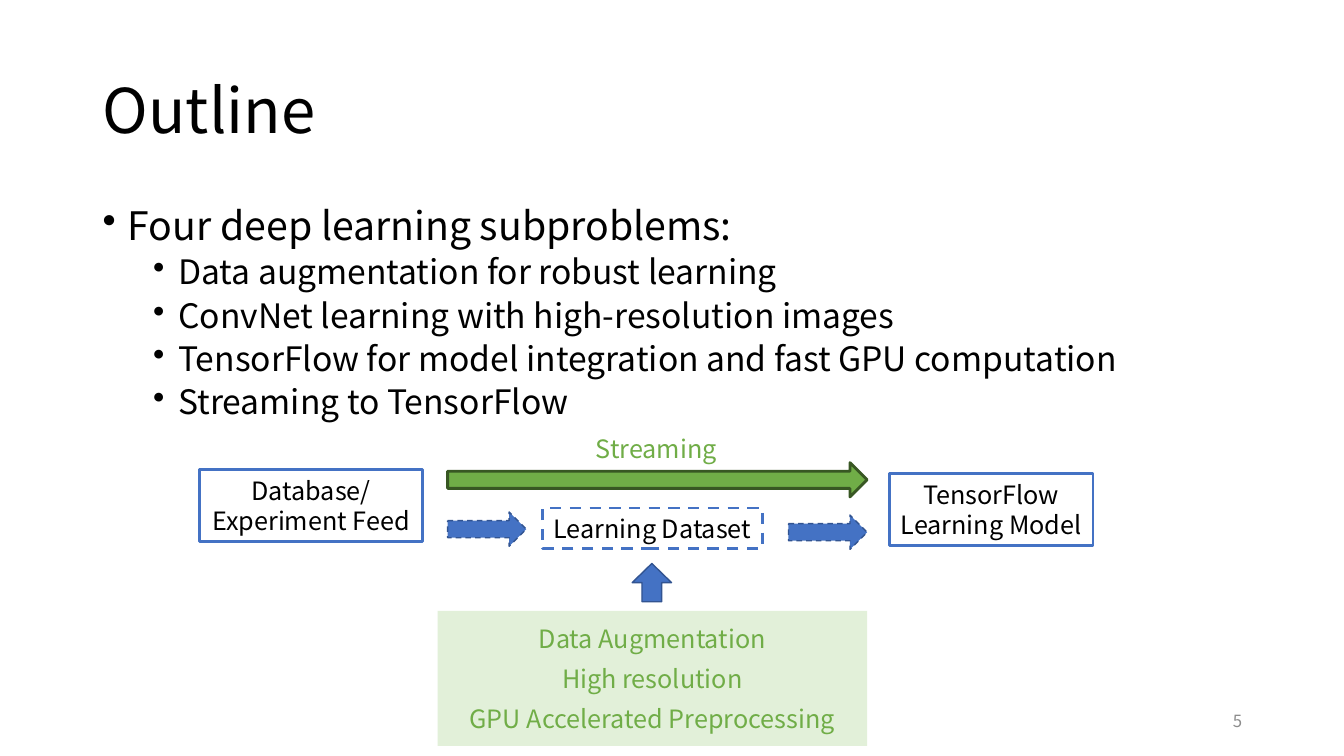
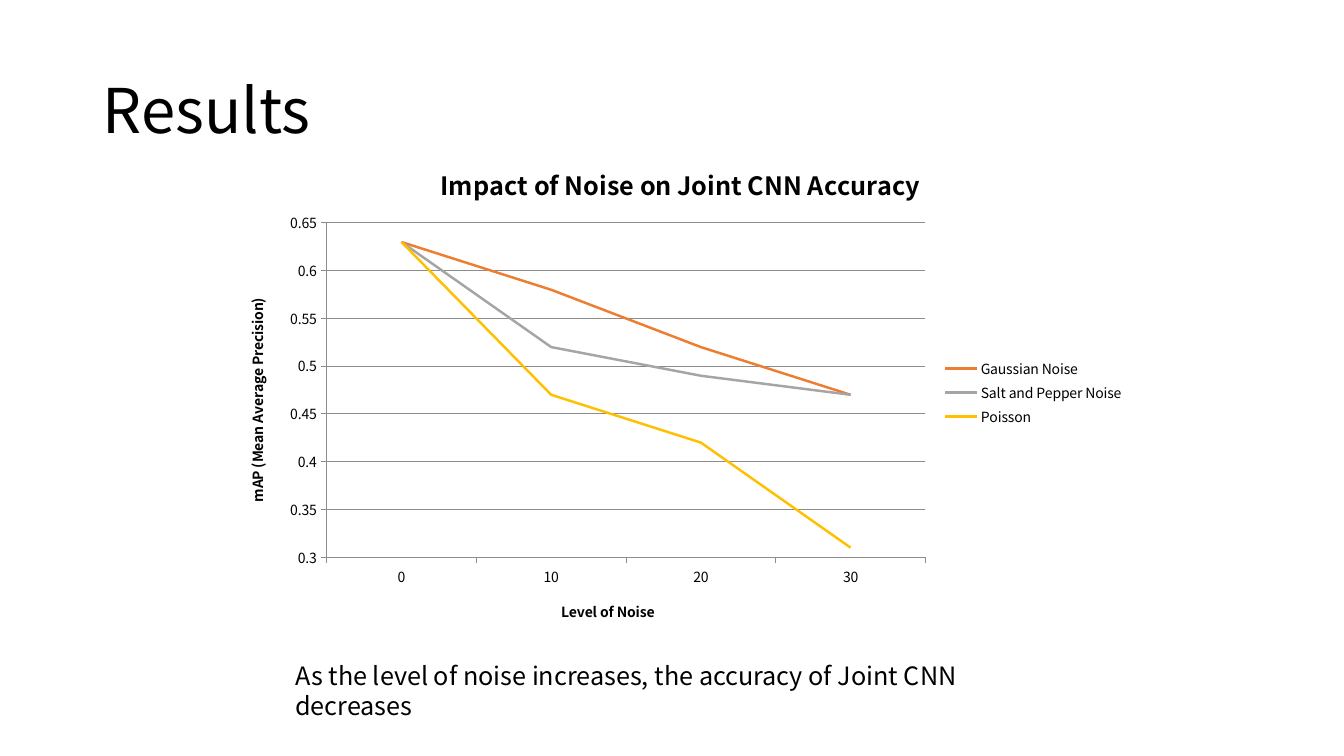
"""Build the outline and results slides of a deep learning talk."""
from lxml import etree
from pptx import Presentation
from pptx.chart.data import CategoryChartData
from pptx.dml.color import RGBColor
from pptx.enum.chart import XL_CHART_TYPE, XL_LEGEND_POSITION, XL_TICK_MARK
from pptx.enum.dml import MSO_LINE
from pptx.enum.shapes import MSO_SHAPE
from pptx.enum.text import MSO_ANCHOR, MSO_AUTO_SIZE, PP_ALIGN
from pptx.oxml.ns import qn
from pptx.util import Inches, Pt

RECT, RIGHT, UP = MSO_SHAPE.RECTANGLE, MSO_SHAPE.RIGHT_ARROW, MSO_SHAPE.UP_ARROW
DASH = MSO_LINE.DASH
LEFT, CENTER, END = PP_ALIGN.LEFT, PP_ALIGN.CENTER, PP_ALIGN.RIGHT
TOP, MIDDLE = MSO_ANCHOR.TOP, MSO_ANCHOR.MIDDLE
FIXED = MSO_AUTO_SIZE.NONE
LINE, KEY = XL_CHART_TYPE.LINE, XL_LEGEND_POSITION.RIGHT
OUT, NONE = XL_TICK_MARK.OUTSIDE, XL_TICK_MARK.NONE

FONT = "Noto Sans CJK SC"
COLORS = {
    "black": "000000", "gray": "8C8C8C", "blue": "4472C4", "navy": "325491",
    "green": "70AD47", "forest": "385723", "mint": "E2F0D9",
    "orange": "ED7D31", "silver": "A5A5A5", "gold": "FFC000",
}


def rgb(name):
    return RGBColor.from_string(COLORS[name])


def set_font(font, size, color="black", bold=False):
    font.name, font.size, font.bold = FONT, Pt(size), bold
    font.color.rgb = rgb(color)


def write(frame, text, size=18, color="black", bold=False, align=LEFT,
          anchor=TOP, lines=None, gap=0):
    frame.word_wrap, frame.auto_size = True, FIXED
    frame.vertical_anchor = anchor
    for i, words in enumerate(text.split("\n")):
        para = frame.paragraphs[0] if i == 0 else frame.add_paragraph()
        para.alignment, para.line_spacing = align, lines
        para.space_before = Pt(gap if i else 0)
        run = para.add_run()
        run.text = words
        set_font(run.font, size, color, bold)


class Deck:
    def __init__(self):
        self.prs = Presentation()
        self.prs.slide_width, self.prs.slide_height = Inches(13.33), Inches(7.5)
        self.slide = None

    def page(self, title):
        self.slide = self.prs.slides.add_slide(self.prs.slide_layouts[5])
        head = self.slide.shapes.title
        head.left, head.top = Inches(0.92), Inches(0.4)
        head.width, head.height = Inches(11.5), Inches(1.45)
        write(head.text_frame, title, size=44, anchor=MIDDLE, lines=0.9)

    def text(self, at, words, **style):
        box = self.slide.shapes.add_textbox(*map(Inches, at))
        write(box.text_frame, words, **style)
        return box.text_frame

    def list(self, at, lead, items):
        frame = self.text(at, "\n".join([lead] + items), size=24, lines=0.9, gap=5)
        frame.paragraphs[0].runs[0].font.size = Pt(28)
        for i, para in enumerate(frame.paragraphs):
            para.level = min(i, 1)
            props = para._p.get_or_add_pPr()
            props.set("marL", str(Inches(0.75 if i else 0.25)))
            props.set("indent", str(Inches(-0.25)))
            etree.SubElement(props, qn("a:buChar")).set("char", "•")

    def shape(self, kind, at, fill=None, line=None, width=1, dash=None):
        item = self.slide.shapes.add_shape(kind, *map(Inches, at))
        item.shadow.inherit = False
        if fill:
            item.fill.solid()
            item.fill.fore_color.rgb = rgb(fill)
        else:
            item.fill.background()
        if line:
            item.line.color.rgb = rgb(line)
            item.line.width, item.line.dash_style = Pt(width), dash
        else:
            item.line.fill.background()
        return item

    def box(self, at, words, dash=None):
        item = self.shape(RECT, at, line="blue", width=2, dash=dash)
        write(item.text_frame, words, align=CENTER, anchor=MIDDLE)

    def chart(self, at, title, names, cats, series, scale, plot):
        data = CategoryChartData()
        data.categories = cats
        for name, vals, _ in series:
            data.add_series(name, vals)
        chart = self.slide.shapes.add_chart(LINE, *map(Inches, at), data).chart
        set_font(chart.font, 10)
        chart.has_title = True
        write(chart.chart_title.text_frame, title, bold=True, align=CENTER)
        chart.has_legend = True
        chart.legend.position, chart.legend.include_in_layout = KEY, False
        for axis, name in zip((chart.category_axis, chart.value_axis), names):
            axis.has_title = True
            write(axis.axis_title.text_frame, name, size=10, bold=True, align=CENTER)
            axis.major_tick_mark, axis.minor_tick_mark = OUT, NONE
            self.rule(axis.format.line)
        axis = chart.value_axis
        axis.minimum_scale, axis.maximum_scale, axis.major_unit = scale
        axis.tick_labels.number_format = "General"
        axis.tick_labels.number_format_is_linked = False
        axis.has_major_gridlines = True
        self.rule(axis.major_gridlines.format.line)
        chart.plots[0].vary_by_categories = False
        for item, (_, _, color) in zip(chart.plots[0].series, series):
            item.smooth = False
            self.rule(item.format.line, color, 1.75)
        root = chart._chartSpace
        turn = root.find(f".//{qn('c:valAx')}//{qn('a:bodyPr')}")
        turn.set("rot", "-5400000")
        turn.set("vert", "horz")
        self.place(root.find(f".//{qn('c:plotArea')}"), plot)

    def rule(self, line, color="gray", width=0.75):
        line.color.rgb, line.width = rgb(color), Pt(width)

    def place(self, area, plot):
        for old in area.findall(qn("c:layout")):
            area.remove(old)
        layout = etree.Element(qn("c:layout"))
        area.insert(0, layout)
        manual = etree.SubElement(layout, qn("c:manualLayout"))
        parts = [("layoutTarget", "inner"), ("xMode", "edge"), ("yMode", "edge")]
        for tag, val in parts + list(zip("xywh", plot)):
            etree.SubElement(manual, qn(f"c:{tag}")).set("val", str(val))


def outline(deck):
    deck.page("Outline")
    deck.list((0.92, 2, 11.5, 2.25), "Four deep learning subproblems:", [
        "Data augmentation for robust learning",
        "ConvNet learning with high-resolution images",
        "TensorFlow for model integration and fast GPU computation",
        "Streaming to TensorFlow",
    ])
    deck.text((5.81, 4.25, 1.42, 0.4), "Streaming", color="green")
    deck.box((1.98, 4.66, 2.21, 0.71), "Database/\nExperiment Feed")
    deck.box((5.38, 5.04, 2.18, 0.4), "Learning Dataset", dash=DASH)
    deck.box((8.82, 4.7, 2.02, 0.71), "TensorFlow Learning Model")
    deck.shape(RIGHT, (4.44, 4.59, 4.16, 0.34), "green", "forest", 2)
    for left, top in ((4.44, 5.08), (7.82, 5.11)):
        deck.shape(RIGHT, (left, top, 0.78, 0.34), "blue", "navy", dash=DASH)
    deck.shape(UP, (6.27, 5.59, 0.39, 0.38), "blue", "navy")
    panel = deck.shape(RECT, (4.34, 6.06, 4.26, 1.34), "mint")
    write(panel.text_frame,
          "Data Augmentation\nHigh resolution\nGPU Accelerated Preprocessing",
          color="green", align=CENTER, anchor=MIDDLE, gap=7)
    deck.text((9.42, 6.95, 3, 0.4), "5", size=12, color="gray",
              align=END, anchor=MIDDLE)


def results(deck):
    deck.page("Results")
    deck.chart(
        (2.25, 1.42, 9, 4.95), "Impact of Noise on Joint CNN Accuracy",
        ("Level of Noise", "mAP (Mean Average Precision)"),
        ["0", "10", "20", "30"],
        [("Gaussian Noise", (0.63, 0.58, 0.52, 0.47), "orange"),
         ("Salt and Pepper Noise", (0.63, 0.52, 0.49, 0.47), "silver"),
         ("Poisson", (0.63, 0.47, 0.42, 0.31), "gold")],
        scale=(0.3, 0.65, 0.05), plot=(0.11, 0.16, 0.66, 0.67))
    deck.text((2.83, 6.5, 7.08, 0.71),
              "As the level of noise increases, the accuracy of Joint CNN decreases")


def main():
    deck = Deck()
    outline(deck)
    results(deck)
    deck.prs.save("out.pptx")


if __name__ == "__main__":
    main()
